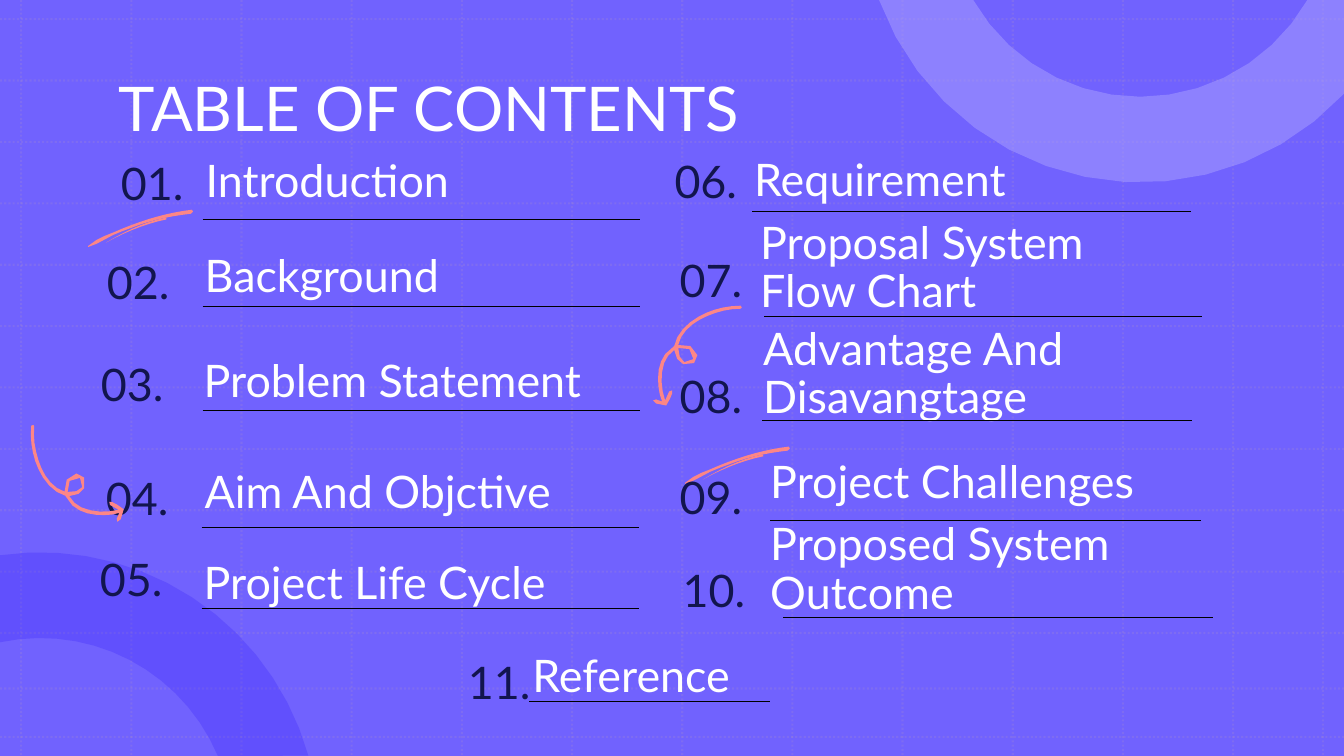
import math
from dataclasses import dataclass

from lxml import etree
from pptx import Presentation
from pptx import util as u
from pptx.dml.color import RGBColor
from pptx.enum import dml, shapes, text
from pptx.oxml.ns import qn

PX = 9144
WIDTH, HEIGHT = 1333, 750
INSET = 13
RING_OUTER, RING_INNER = 276, 191


@dataclass(frozen=True)
class Theme:
    font: str = "Lato"
    title_size: int = 44
    entry_size: int = 32
    background: str = "7162FE"
    grid: str = "B495C2"
    dark_ring: str = "220BFD"
    light_ring: str = "AAA1FE"
    white: str = "FFFFFF"
    number: str = "12154E"
    rule: str = "000000"
    doodle: str = "FD8686"


THEME = Theme()

ENTRIES = (
    ("01.", (107, 158), "Introduction", (191, 142, 434, 77), (201, 635, 218)),
    ("02.", (93, 256), "Background", (190, 236, 434, 77), (201, 635, 304)),
    ("03.", (87, 357), "Problem Statement", (189, 340, 484, 77), (201, 635, 407)),
    ("04.", (92, 470), "Aim And Objctive", (190, 450, 434, 77), (200, 634, 523)),
    ("06.", (656, 156), "Requirement", (735, 141, 434, 77), (746, 1181, 210)),
    ("07.", (661, 254), "Proposal System Flow Chart", (741, 222, 434, 106), (758, 1192, 314)),
    ("08.", (661, 369), "Advantage And Disavangtage", (744, 356, 567, 77), (756, 1182, 417)),
    ("05.", (86, 550), "Project Life Cycle", (189, 540, 434, 77), (200, 634, 604)),
    ("09.", (661, 469), "Project Challenges", (751, 440, 434, 77), (764, 1191, 516)),
    ("10.", (664, 561), "Proposed System Outcome", (751, 550, 434, 77), (777, 1203, 613)),
    ("11.", (451, 653), "Reference", (515, 633, 434, 77), (525, 764, 696)),
)
ENTRIES_BELOW_DOODLES = 6

CURL_CENTRE, CURL_ANGLE = (688.5, 350), 24.7
CURL = (
    ((684, 346), (689, 348, 690, 353, 688, 356), (686, 359, 682, 359, 679, 359),
     (675, 357, 673, 351, 673, 345), (676, 344, 680, 344, 684, 346)),
    ((735, 303), (720, 303, 705, 307, 693, 314), (682, 320, 671, 331, 669, 343),
     (666, 345, 663, 348, 660, 351), (655, 358, 653, 366, 653, 375),
     (653, 383, 654, 391, 657, 398), (651, 396), (648, 397), (651, 400),
     (654, 402, 657, 402, 661, 402), (665, 395), (667, 390), (667, 387),
     (664, 388), (660, 397), (656, 385, 655, 372, 659, 360),
     (661, 355, 664, 350, 669, 347), (670, 354, 673, 359, 678, 361),
     (687, 364, 693, 358, 692, 352), (691, 348, 688, 345, 685, 343),
     (681, 342, 677, 342, 673, 342), (675, 331, 685, 322, 694, 317),
     (707, 310, 721, 306, 735, 306), (736, 305)),
)

STROKE_ANGLE = 28.7
WIDE_STROKE_CENTRE = (139.5, 226)
WIDE_STROKE = (
    ((190, 208), (174, 210, 156, 214, 139, 220), (130, 223, 120, 227, 111, 231),
     (103, 234, 95, 237, 87, 244), (87, 245), (95, 243, 104, 237, 112, 233),
     (121, 229, 130, 226, 138, 223), (155, 217, 172, 214, 189, 212), (191, 210)),
)
THIN_STROKE_CENTRE = (135, 228.5)
THIN_STROKE = (
    ((165, 216), (145, 220, 125, 229, 105, 241), (125, 230, 145, 222, 165, 218)),
)


def color(value):
    return RGBColor.from_string(value)


def set_opacity(properties, percent):
    for fill_color in properties.iter(qn("a:srgbClr")):
        etree.SubElement(fill_color, qn("a:alpha"), val=str(percent * 1000))


def paint(shape, fill, opacity=None):
    shape.shadow.inherit = False
    shape.fill.solid()
    shape.fill.fore_color.rgb = color(fill)
    shape.line.fill.background()
    if opacity is not None:
        set_opacity(shape._element.spPr, opacity)


def add_text(slide, content, left, top, width, height, *, size=THEME.entry_size,
             fill=THEME.white, anchor=text.MSO_ANCHOR.BOTTOM):
    shape = slide.shapes.add_textbox(*(value * PX for value in (left, top, width, height)))
    frame = shape.text_frame
    frame.word_wrap = True
    frame.vertical_anchor = anchor
    frame.margin_left = frame.margin_right = INSET * PX
    frame.margin_top = frame.margin_bottom = INSET * PX
    paragraph = frame.paragraphs[0]
    paragraph.line_spacing = 0.9
    run = paragraph.add_run()
    run.text = content
    run.font.name = THEME.font
    run.font.size = u.Pt(size)
    run.font.color.rgb = color(fill)


def add_line(slide, start, end, fill, weight, dash=None, opacity=None):
    line = slide.shapes.add_connector(
        shapes.MSO_CONNECTOR.STRAIGHT, *(round(value * PX) for value in (*start, *end)))
    line.line.color.rgb = color(fill)
    line.line.width = u.Pt(weight)
    properties = line._element.spPr
    if dash:
        line.line.dash_style = dash
    if opacity is not None:
        set_opacity(properties, opacity)
    etree.SubElement(properties, qn("a:effectLst"))


def add_outline(slide, contours, fill, opacity=None):
    contours = [[(x * PX, y * PX) for x, y in contour] for contour in contours]
    builder = slide.shapes.build_freeform(*contours[0][0])
    for index, contour in enumerate(contours):
        if index:
            builder.move_to(*contour[0])
        builder.add_line_segments(contour[1:], close=True)
    shape = builder.convert_to_shape()
    paint(shape, fill, opacity)
    return shape


def trace(contour, spacing=9):
    points = [contour[0]]
    for segment in contour[1:]:
        if len(segment) == 2:
            points.append(segment)
            continue
        controls = (points[-1], segment[:2], segment[2:4], segment[4:])
        steps = max(1, round(math.dist(controls[0], controls[3]) / spacing))
        for step in range(1, steps + 1):
            t = step / steps
            weights = [math.comb(3, k) * t**k * (1 - t)**(3 - k) for k in range(4)]
            points.append(tuple(sum(w * point[axis] for w, point in zip(weights, controls))
                                for axis in (0, 1)))
    return points


def add_doodle(slide, contours, drawn_centre, drawn_angle, centre, angle):
    cos, sin = math.cos(math.radians(drawn_angle)), math.sin(math.radians(drawn_angle))

    def upright(point):
        x, y = point[0] - drawn_centre[0], point[1] - drawn_centre[1]
        return centre[0] + x * cos + y * sin, centre[1] - x * sin + y * cos

    outlines = [[upright(point) for point in trace(contour)] for contour in contours]
    add_outline(slide, outlines, THEME.doodle).rotation = angle


def arc(centre, radius, start, end, steps=14):
    angles = [math.radians(start + (end - start) * step / steps) for step in range(steps + 1)]
    return [(centre[0] + radius * math.cos(angle), centre[1] + radius * math.sin(angle))
            for angle in angles]


def add_ring(slide, centre, outer_span, inner_span, fill, opacity, corners=()):
    outer = arc(centre, RING_OUTER, *outer_span)
    inner = arc(centre, RING_INNER, *inner_span)
    add_outline(slide, [[*outer, *reversed(inner), *corners]], fill, opacity)


def add_backdrop(slide):
    background = slide.shapes.add_shape(
        shapes.MSO_SHAPE.RECTANGLE, 0, 0, WIDTH * PX, HEIGHT * PX)
    paint(background, THEME.background)
    columns = [21 + 109.27 * index for index in range(12)] + [1312]
    rows = [19 + 60.9 * index for index in range(11)] + [683, 731]
    ends = [((x, 0), (x, HEIGHT)) for x in columns] + [((0, y), (WIDTH, y)) for y in rows]
    for start, end in ends:
        add_line(slide, start, end, THEME.grid, 1.5, dml.MSO_LINE.ROUND_DOT, 20)
    add_ring(slide, (40, 824), (261.7, 344.4), (257.9, 337.2), THEME.dark_ring, 20)
    add_ring(slide, (1131, -95), (43, 159.9), (29.8, 150.2), THEME.light_ring, 50,
             corners=[(WIDTH, 0)])


def add_doodles(slide):
    for centre, angle in ((CURL_CENTRE, CURL_ANGLE), ((73.5, 474), 300)):
        add_doodle(slide, CURL, CURL_CENTRE, CURL_ANGLE, centre, angle)
    for shift_x, shift_y in ((0, 0), (592, 235)):
        for stroke, (x, y) in ((WIDE_STROKE, WIDE_STROKE_CENTRE),
                               (THIN_STROKE, THIN_STROKE_CENTRE)):
            add_doodle(slide, stroke, (x, y), STROKE_ANGLE,
                       (x + shift_x, y + shift_y), STROKE_ANGLE)


def add_entry(slide, number, number_place, label, label_box, rule):
    left, right, y = rule
    add_text(slide, number, *number_place, 108, 54, fill=THEME.number,
             anchor=text.MSO_ANCHOR.MIDDLE)
    add_text(slide, label, *label_box)
    add_line(slide, (left, y), (right, y), THEME.rule, 0.75)


def main():
    presentation = Presentation()
    presentation.slide_width, presentation.slide_height = WIDTH * PX, HEIGHT * PX
    slide = presentation.slides.add_slide(presentation.slide_layouts[6])
    add_backdrop(slide)
    add_text(slide, "TABLE OF CONTENTS", 105, 65, 1123, 84, size=THEME.title_size,
             anchor=text.MSO_ANCHOR.TOP)
    for entry in ENTRIES[:ENTRIES_BELOW_DOODLES]:
        add_entry(slide, *entry)
    add_doodles(slide)
    for entry in ENTRIES[ENTRIES_BELOW_DOODLES:]:
        add_entry(slide, *entry)
    presentation.save("out.pptx")


if __name__ == "__main__":
    main()
